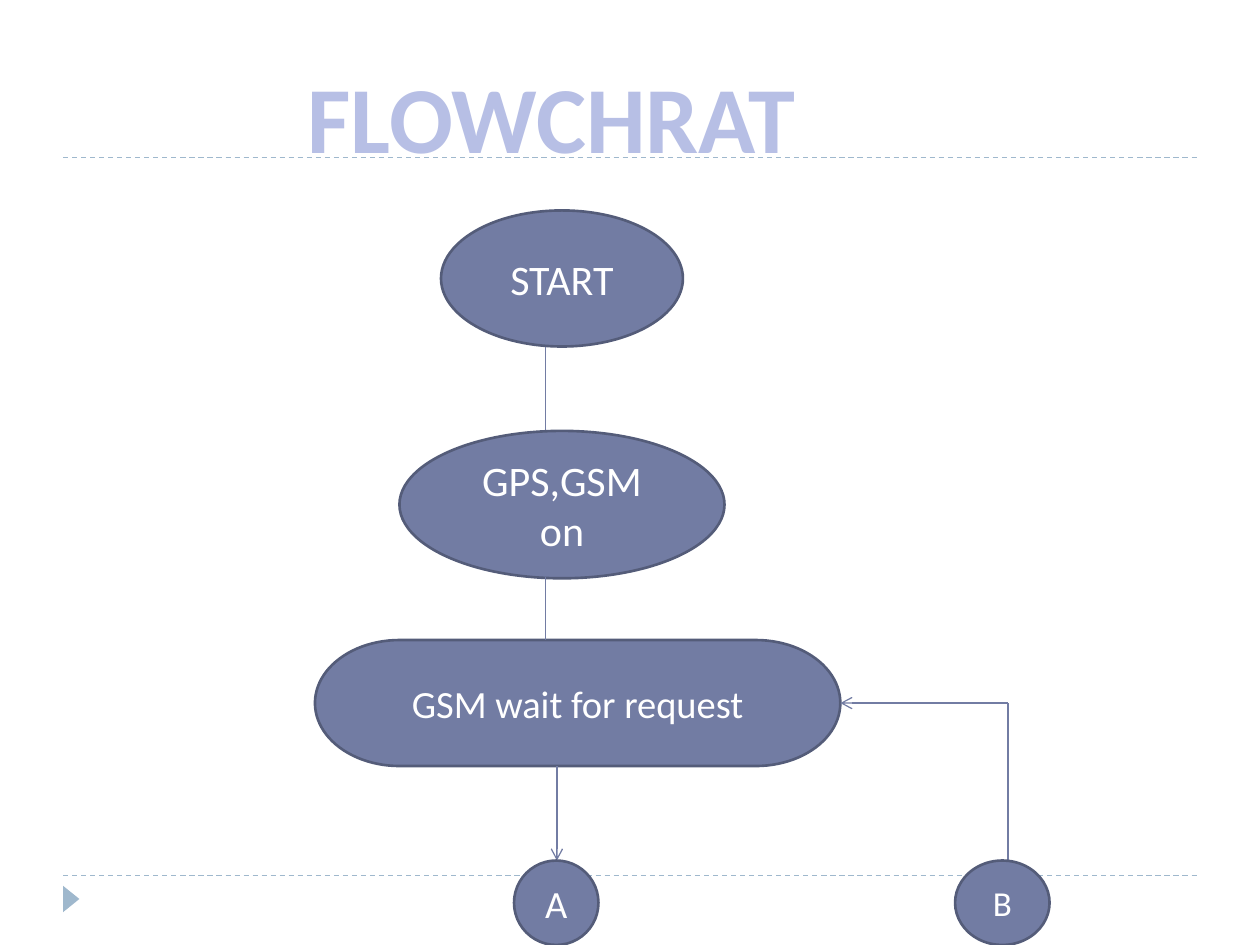
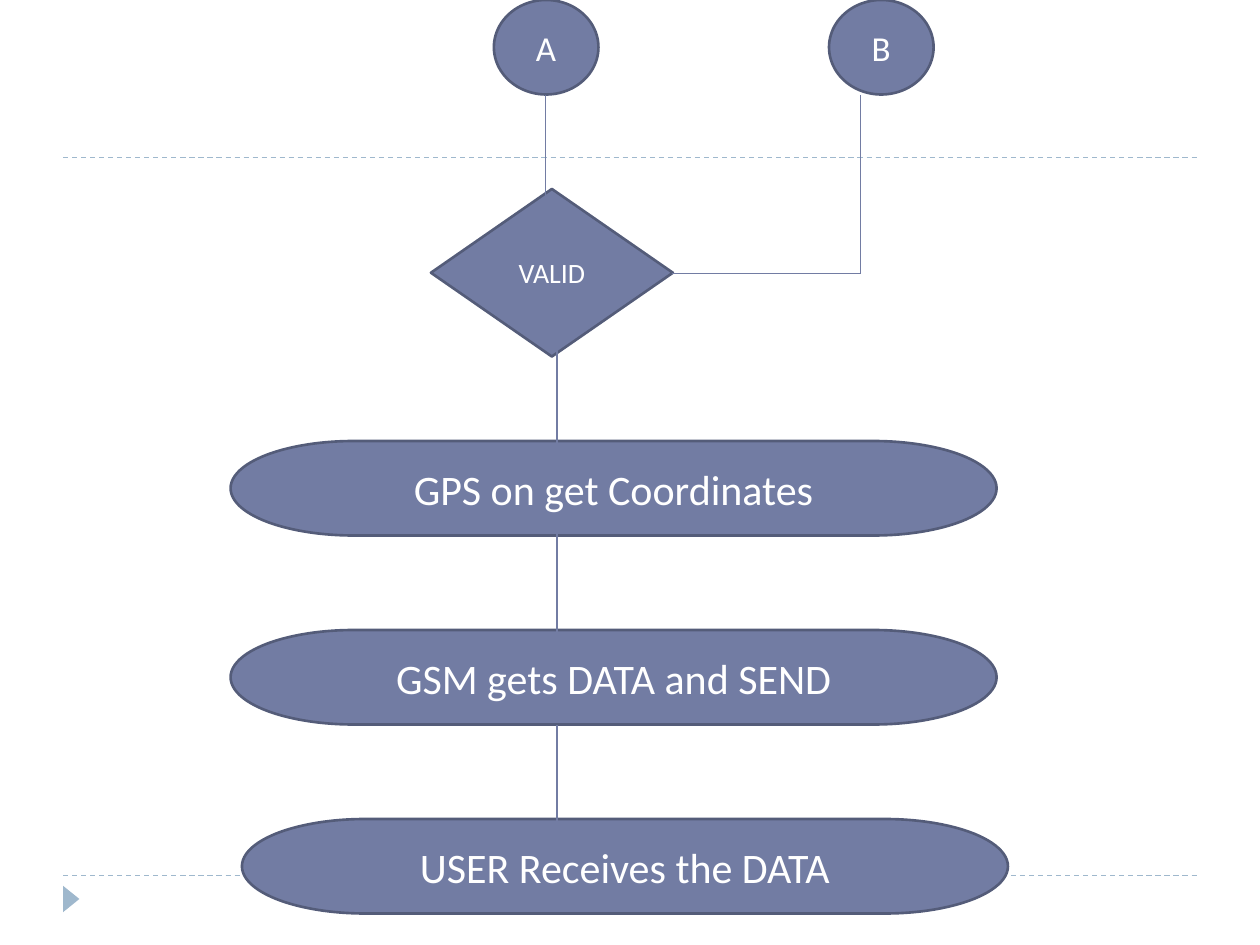
from dataclasses import dataclass

from lxml import etree
from pptx import Presentation
from pptx import util as u
from pptx.dml.color import RGBColor
from pptx.enum import dml, shapes, text
from pptx.oxml import ns

KIND = shapes.MSO_SHAPE
TITLE_ONLY, BLANK = 5, 6


@dataclass(frozen=True)
class Theme:
    font: str = "Calibri"
    title: str = "B7BFE5"
    node: str = "727CA3"
    outline: str = "545C79"
    frame: str = "9FB8CD"
    label: str = "FFFFFF"
    title_size: int = 54
    large: int = 24
    medium: int = 22
    small: int = 20
    tiny: int = 16
    thin: float = 0.75
    thick: float = 1.5


class Flowchart:
    def __init__(self, theme):
        self.theme = theme
        self.deck = Presentation()
        self.deck.slide_width = u.Inches(10)
        self.deck.slide_height = u.Inches(7.5)
        self.page = None

    def add_page(self, layout):
        self.page = self.deck.slides.add_slide(self.deck.slide_layouts[layout])
        for y in (6.95, 1.25):
            rule = self.line((0.5, y), (9.5, y), color=self.theme.frame)
            rule.line.dash_style = dml.MSO_LINE.DASH
        marker = self.shape(KIND.ISOSCELES_TRIANGLE, (0.46, 7.07, 0.21, 0.13),
                            self.theme.frame)
        marker.rotation = 90
        marker.line.fill.background()

    def label(self, frame, words, size, color, bold=False):
        frame.text = words
        for para in frame.paragraphs:
            para.alignment = text.PP_ALIGN.CENTER
            for span in para.runs:
                span.font.name = self.theme.font
                span.font.size = u.Pt(size)
                span.font.bold = bold
                span.font.color.rgb = RGBColor.from_string(color)

    def title(self, words, place):
        box = self.page.shapes.title
        box.left, box.top, box.width, box.height = map(u.Inches, place)
        frame = box.text_frame
        frame.word_wrap = False
        frame.auto_size = text.MSO_AUTO_SIZE.NONE
        frame.vertical_anchor = text.MSO_ANCHOR.TOP
        self.label(frame, words, self.theme.title_size, self.theme.title, True)

    def shape(self, kind, place, fill):
        box = self.page.shapes.add_shape(kind, *map(u.Inches, place))
        box.shadow.inherit = False
        box.fill.solid()
        box.fill.fore_color.rgb = RGBColor.from_string(fill)
        return box

    def node(self, kind, words, place, size):
        box = self.shape(kind, place, self.theme.node)
        box.line.color.rgb = RGBColor.from_string(self.theme.outline)
        box.line.width = u.Pt(self.theme.thick)
        box.text_frame.word_wrap = True
        box.text_frame.vertical_anchor = text.MSO_ANCHOR.MIDDLE
        self.label(box.text_frame, words, size, self.theme.label)

    def line(self, start, end, arrow=False, color=None):
        link = self.page.shapes.add_connector(
            shapes.MSO_CONNECTOR.STRAIGHT, *map(u.Inches, start + end))
        link.line.color.rgb = RGBColor.from_string(color or self.theme.node)
        link.line.width = u.Pt(self.theme.thin)
        properties = link._element.spPr
        if arrow:
            tail = etree.SubElement(properties.find(ns.qn("a:ln")), ns.qn("a:tailEnd"))
            tail.set("type", "arrow")
        etree.SubElement(properties, ns.qn("a:effectLst"))
        return link


theme = Theme()
chart = Flowchart(theme)

chart.add_page(TITLE_ONLY)
chart.title("FLOWCHRAT", (2, 0.42, 4.76, 1.01))
chart.node(KIND.OVAL, "START", (3.5, 1.67, 1.92, 1.08), theme.large)
chart.line((4.33, 2.75), (4.33, 3.5))
chart.node(KIND.OVAL, "GPS,GSM on", (3.17, 3.42, 2.58, 1.17), theme.large)
chart.node(KIND.FLOWCHART_TERMINATOR, "GSM wait for request",
           (2.5, 5.08, 4.17, 1), theme.medium)
chart.line((4.33, 4.58), (4.33, 5.08))
chart.line((4.42, 6.08), (4.42, 6.83), arrow=True)
chart.node(KIND.FLOWCHART_CONNECTOR, "A", (4.08, 6.83, 0.67, 0.67), theme.medium)
chart.line((8, 5.58), (8, 6.83))
chart.node(KIND.FLOWCHART_CONNECTOR, "B", (7.58, 6.83, 0.75, 0.67), theme.small)
chart.line((8, 5.58), (6.67, 5.58), arrow=True)

chart.add_page(BLANK)
for words, left in (("A", 3.92), ("B", 6.58)):
    chart.node(KIND.FLOWCHART_CONNECTOR, words, (left, 0, 0.83, 0.75), theme.small)
chart.node(KIND.DIAMOND, "VALID", (3.42, 1.5, 1.92, 1.33), theme.tiny)
chart.line((4.33, 0.75), (4.33, 1.67))
chart.line((5.33, 2.17), (6.83, 2.17))
chart.line((6.83, 2.17), (6.83, 0.75))

steps = (("GPS on get Coordinates", 1.83),
         ("GSM gets DATA and SEND", 1.83),
         ("USER Receives the DATA", 1.92))
for row, (words, left) in enumerate(steps):
    chart.node(KIND.FLOWCHART_TERMINATOR, words,
               (left, 3.5 + 1.5 * row, 6.08, 0.75), theme.large)
for top, bottom in ((2.67, 3.58), (4.17, 5.08), (5.75, 6.67)):
    chart.line((4.42, top), (4.42, bottom))

chart.deck.save("out.pptx")
